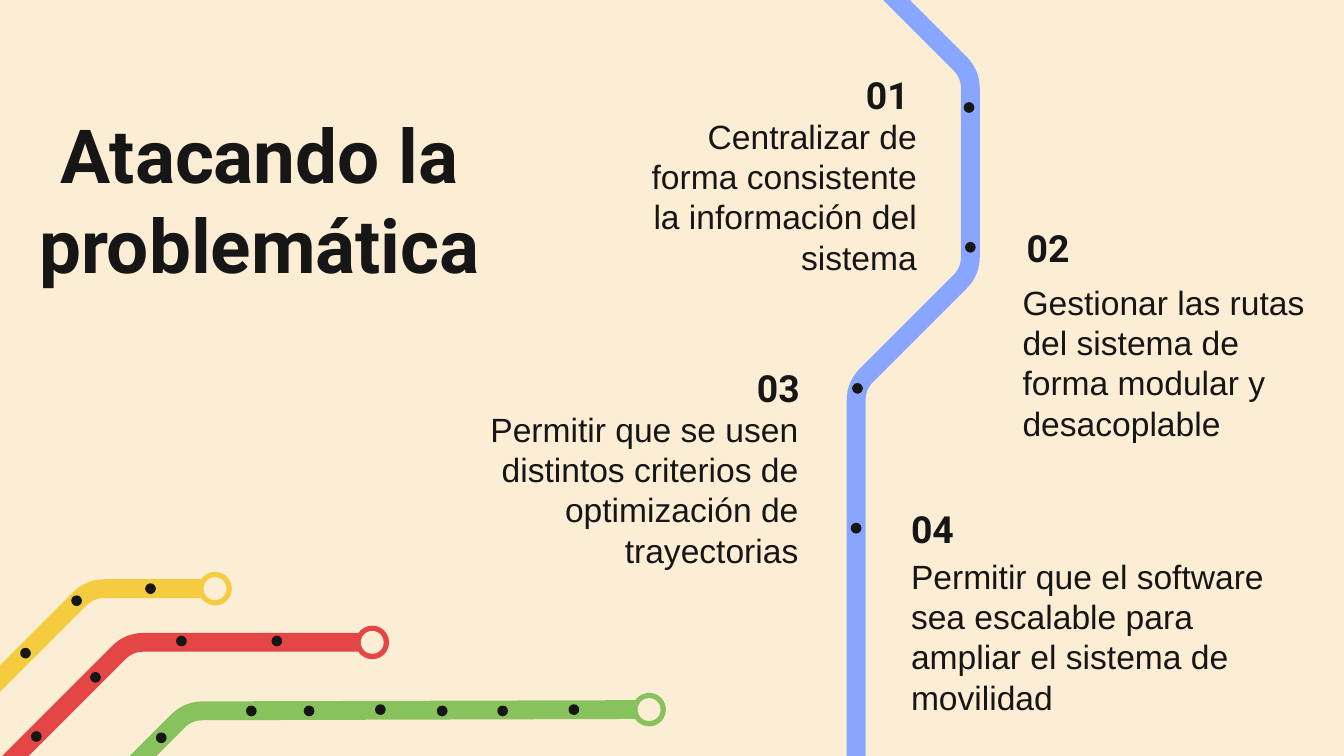
from dataclasses import dataclass

from pptx import Presentation
from pptx.dml.color import RGBColor
from pptx.enum.shapes import MSO_SHAPE
from pptx.enum.text import MSO_ANCHOR, MSO_AUTO_SIZE, PP_ALIGN
from pptx.shapes.base import BaseShape
from pptx.slide import Slide
from pptx.util import Inches, Pt

CREAM = RGBColor(0xFC, 0xED, 0xD5)
INK = RGBColor(0x16, 0x16, 0x16)
BLUE = RGBColor(0x88, 0xA6, 0xFF)
GREEN = RGBColor(0x88, 0xC2, 0x5D)
YELLOW = RGBColor(0xF5, 0xCC, 0x3F)
RED = RGBColor(0xE4, 0x46, 0x46)

WIDTH = Inches(10)
HEIGHT = WIDTH * 9 // 16
TRACK = 0.14
BEND = 0.11
STEPS = 8
DOT = 0.08
RING = 0.25
HOLE = 0.17

Point = tuple[float, float]
Box = tuple[float, float, float, float]


@dataclass
class Route:
    """A metro line with its bends, its stops and whether it starts at a ring."""
    color: RGBColor
    bends: list[Point]
    stops: list[Point]
    ring: bool = True


@dataclass
class Goal:
    """A numbered goal with the places of its number and its text."""
    label: str
    text: str
    spot: Point
    box: Box
    align: PP_ALIGN


ROUTES = [
    Route(GREEN, [(4.83, 5.28), (1.4, 5.29), (0.61, 6.08)],
          [(1.2, 5.49), (1.87, 5.29), (2.3, 5.29), (2.83, 5.28),
           (3.29, 5.29), (3.74, 5.29), (4.27, 5.28)]),
    Route(BLUE, [(6.21, -0.46), (7.22, 0.55), (7.22, 2.02), (6.37, 2.87), (6.37, 6.37)],
          [(7.21, 0.8), (7.22, 1.84), (6.38, 2.89), (6.37, 3.93)], ring=False),
    Route(YELLOW, [(1.6, 4.38), (0.67, 4.38), (-0.6, 5.65), (-0.6, 6.69),
                   (0.35, 7.64), (0.35, 8.65), (-0.25, 9.25)],
          [(1.12, 4.38), (0.57, 4.47), (0.19, 4.86)]),
    Route(RED, [(2.77, 4.78), (0.96, 4.78), (-0.27, 6.01), (-1.12, 6.01), (-2.21, 7.1)],
          [(1.35, 4.77), (2.06, 4.77), (0.71, 5.04), (0.27, 5.48)]),
]

GOALS = [
    Goal("01", "Centralizar de forma consistente la información del sistema",
         (6.27, 0.44), (4.53, 0.94, 2.39, 1.04), PP_ALIGN.RIGHT),
    Goal("02", "Gestionar las rutas del sistema de forma modular y desacoplable",
         (7.54, 1.58), (7.51, 2.08, 2.39, 1.23), PP_ALIGN.LEFT),
    Goal("03", "Permitir que se usen distintos criterios de optimización de trayectorias",
         (5.46, 2.62), (2.86, 2.88, 3.18, 1.52), PP_ALIGN.RIGHT),
    Goal("04", "Permitir que el software sea escalable para ampliar el sistema de movilidad",
         (6.68, 3.67), (6.68, 4.12, 2.92, 1.23), PP_ALIGN.LEFT),
]


def paint(shape: BaseShape, color: RGBColor) -> None:
    """Give a shape a flat fill with no line or shadow."""
    shape.shadow.inherit = False
    shape.fill.solid()
    shape.fill.fore_color.rgb = color
    shape.line.fill.background()


def draw_disc(slide: Slide, center: Point, size: float, color: RGBColor) -> None:
    """Draw a filled circle about its center."""
    left, top = (Inches(c - size / 2) for c in center)
    disc = slide.shapes.add_shape(MSO_SHAPE.OVAL, left, top, Inches(size), Inches(size))
    paint(disc, color)


def round_bends(bends: list[Point]) -> list[complex]:
    """Turn each inner bend into a short curve of points."""
    knots = [complex(*bend) for bend in bends]
    curve = [knots[0]]
    for prior, knot, after in zip(knots, knots[1:], knots[2:]):
        start = knot + BEND * (prior - knot) / abs(prior - knot)
        end = knot + BEND * (after - knot) / abs(after - knot)
        for step in range(STEPS + 1):
            t = step / STEPS
            curve.append((1 - t) ** 2 * start + 2 * t * (1 - t) * knot + t ** 2 * end)
    return curve + [knots[-1]]


def draw_track(slide: Slide, route: Route) -> None:
    """Draw a route as a band of even width."""
    curve = round_bends(route.bends)
    left, right = [], []
    for prior, point, after in zip(curve[:1] + curve, curve, curve[1:] + curve[-1:]):
        normal = 1j * (after - prior) / abs(after - prior) * TRACK / 2
        left.append(point + normal)
        right.append(point - normal)
    edge = [(Inches(p.real), Inches(p.imag)) for p in left + right[::-1]]
    track = slide.shapes.build_freeform(*edge[0])
    track.add_line_segments(edge[1:], close=True)
    paint(track.convert_to_shape(), route.color)


def draw_route(slide: Slide, route: Route) -> None:
    """Draw a route with its end ring and stops."""
    draw_track(slide, route)
    if route.ring:
        draw_disc(slide, route.bends[0], RING, route.color)
        draw_disc(slide, route.bends[0], HOLE, CREAM)
    for stop in route.stops:
        draw_disc(slide, stop, DOT, INK)


def set_text(shape: BaseShape, text: str, size: int, font: str, align: PP_ALIGN,
             anchor: MSO_ANCHOR = MSO_ANCHOR.MIDDLE, bold: bool = False) -> None:
    """Fill a text frame and format its only paragraph."""
    frame = shape.text_frame
    frame.text = text
    frame.word_wrap = True
    frame.auto_size = MSO_AUTO_SIZE.NONE
    frame.vertical_anchor = anchor
    frame.margin_left = frame.margin_right = Inches(0.1)
    frame.margin_top = frame.margin_bottom = Inches(0.1)
    para = frame.paragraphs[0]
    para.alignment = align
    style = para.runs[0].font
    style.name, style.size, style.bold = font, Pt(size), bold
    style.color.rgb = INK


def draw_goal(slide: Slide, goal: Goal) -> None:
    """Write the number and text of a goal."""
    label = slide.shapes.add_textbox(*map(Inches, (*goal.spot, 0.59, 0.53)))
    set_text(label, goal.label, 20, "Roboto", goal.align, bold=True)
    body = slide.shapes.add_textbox(*map(Inches, goal.box))
    set_text(body, goal.text, 18, "Arial", goal.align)


def main() -> None:
    """Build and save the slide."""
    deck = Presentation()
    deck.slide_width, deck.slide_height = WIDTH, HEIGHT
    slide = deck.slides.add_slide(deck.slide_layouts[5])
    slide.background.fill.solid()
    slide.background.fill.fore_color.rgb = CREAM
    title = slide.shapes.title
    title.left, title.top = Inches(-0.05), Inches(0.71)
    title.width, title.height = Inches(3.96), Inches(1.37)
    set_text(title, "Atacando la problemática", 40, "Roboto", PP_ALIGN.CENTER,
             MSO_ANCHOR.TOP, bold=True)
    for route in ROUTES:
        draw_route(slide, route)
    for goal in GOALS:
        draw_goal(slide, goal)
    deck.save("out.pptx")


if __name__ == "__main__":
    main()
